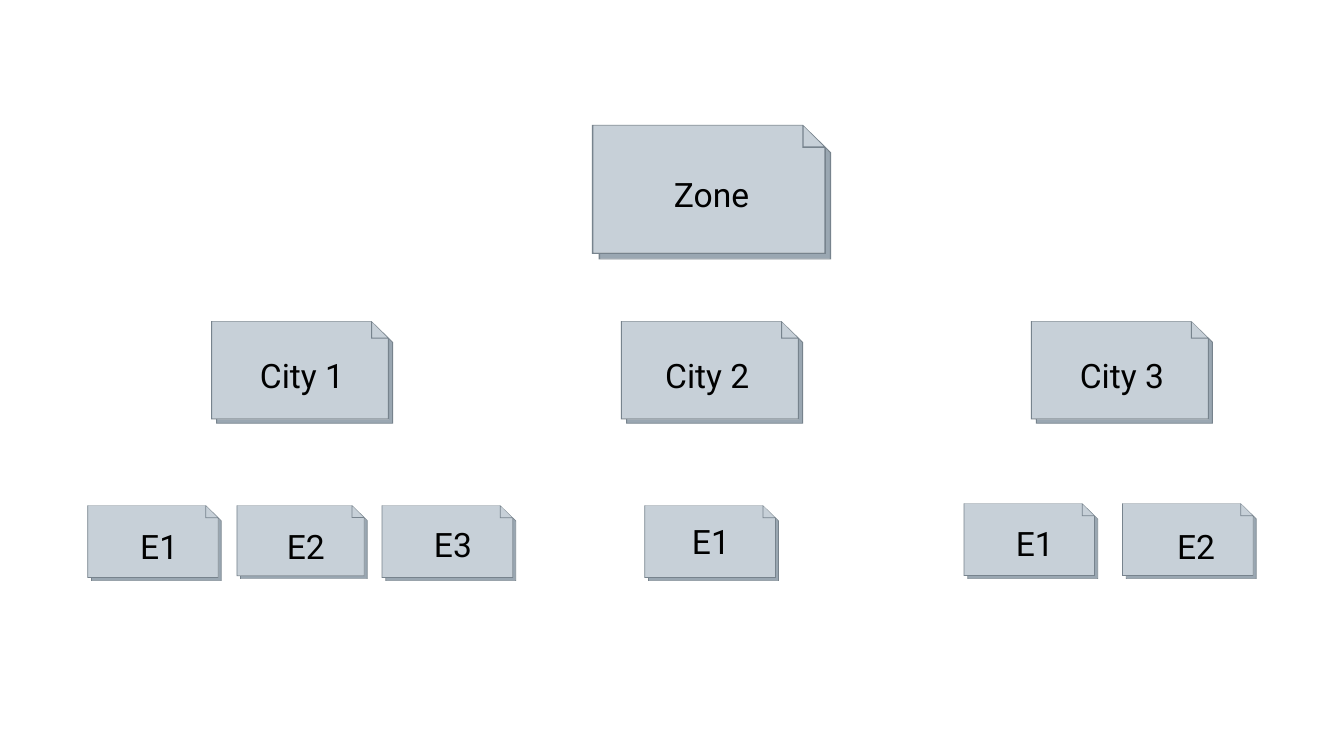
from dataclasses import dataclass

from pptx import Presentation
from pptx.dml.color import RGBColor
from pptx.enum import text
from pptx.util import Inches, Pt

Contour = list[tuple[int, int]]

SHADOW: Contour = [(12, 192), (12, 199), (354, 199), (354, 42), (348, 35), (348, 192)]
FACE: Contour = [(314, 1), (1, 1), (1, 190), (347, 190), (347, 33)]
EDGE: Contour = [(314, 0), (0, 0), (0, 192), (10, 192), (10, 200), (356, 200), (356, 41), (348, 33)]
FOLD: Contour = [(315, 2), (345, 32), (315, 32)]
FACE_OPENING: Contour = [(2, 190), (2, 1), (313, 1), (313, 34), (346, 34), (346, 190)]

LAYERS: list[tuple[list[Contour], str]] = [
    ([SHADOW], "9AA7B2"),
    ([FACE], "C7D0D8"),
    ([EDGE, FOLD, FACE_OPENING, SHADOW], "77838D"),
]

NOTE_WIDTH = 3.56


@dataclass
class Note:
    left: float
    top: float
    width: float


@dataclass
class Label:
    wording: str
    left: float
    top: float
    width: float
    height: float = 0.67
    indent: float = 0


def color(value: str) -> RGBColor:
    return RGBColor.from_string(value)


def draw_note(slide, note: Note) -> None:
    group = slide.shapes.add_group_shape()
    scale = Inches(0.01) * note.width / NOTE_WIDTH
    for contours, fill in LAYERS:
        builder = group.shapes.build_freeform(*contours[0][0], scale=scale)
        builder.add_line_segments(contours[0][1:], close=True)
        for contour in contours[1:]:
            builder.move_to(*contour[0])
            builder.add_line_segments(contour[1:], close=True)
        shape = builder.convert_to_shape(Inches(note.left), Inches(note.top))
        shape.shadow.inherit = False
        shape.fill.solid()
        shape.fill.fore_color.rgb = color(fill)
        shape.line.fill.background()


def draw_label(slide, label: Label) -> None:
    box = slide.shapes.add_textbox(
        Inches(label.left), Inches(label.top), Inches(label.width), Inches(label.height)
    )
    frame = box.text_frame
    frame.word_wrap = False
    frame.margin_left = Inches(label.indent)
    frame.margin_right = frame.margin_top = frame.margin_bottom = 0
    paragraph = frame.paragraphs[0]
    paragraph.text = label.wording
    paragraph.alignment = text.PP_ALIGN.CENTER
    paragraph.line_spacing = Pt(50.4)
    paragraph.font.name = "Roboto"
    paragraph.font.size = Pt(36)
    paragraph.font.color.rgb = color("000000")


def event_label(wording: str, left: float, top: float, height: float = 0.67) -> Label:
    return Label(wording, left, top, 0.7, height, indent=0.12)


NOTES = [
    Note(8.81, 1.86, NOTE_WIDTH),
    *(Note(3.14 + 6.1 * column, 4.78, 2.71) for column in range(3)),
    Note(1.3, 7.52, 2),
    Note(3.52, 7.52, 1.95),
    Note(5.68, 7.52, 2),
    Note(9.59, 7.52, 2),
    Note(14.34, 7.49, 2),
    Note(16.7, 7.49, 2),
]

LABELS = [
    Label("Zone", 9.98, 2.49, 1.22),
    *(Label(f"City {number}", left, 5.18, 1.39) for number, left in enumerate((3.8, 9.83, 16), 1)),
    event_label("E1", 1.96, 7.72),
    event_label("E2", 4.14, 7.72),
    event_label("E3", 6.33, 7.7),
    event_label("E1", 10.17, 7.65, 1.37),
    event_label("E1", 14.99, 7.68),
    event_label("E2", 17.39, 7.72),
]


def main() -> None:
    presentation = Presentation()
    presentation.slide_width = Inches(20)
    presentation.slide_height = Inches(11.25)
    slide = presentation.slides.add_slide(presentation.slide_layouts[6])
    for note in NOTES:
        draw_note(slide, note)
    for label in LABELS:
        draw_label(slide, label)
    presentation.save("out.pptx")


if __name__ == "__main__":
    main()
